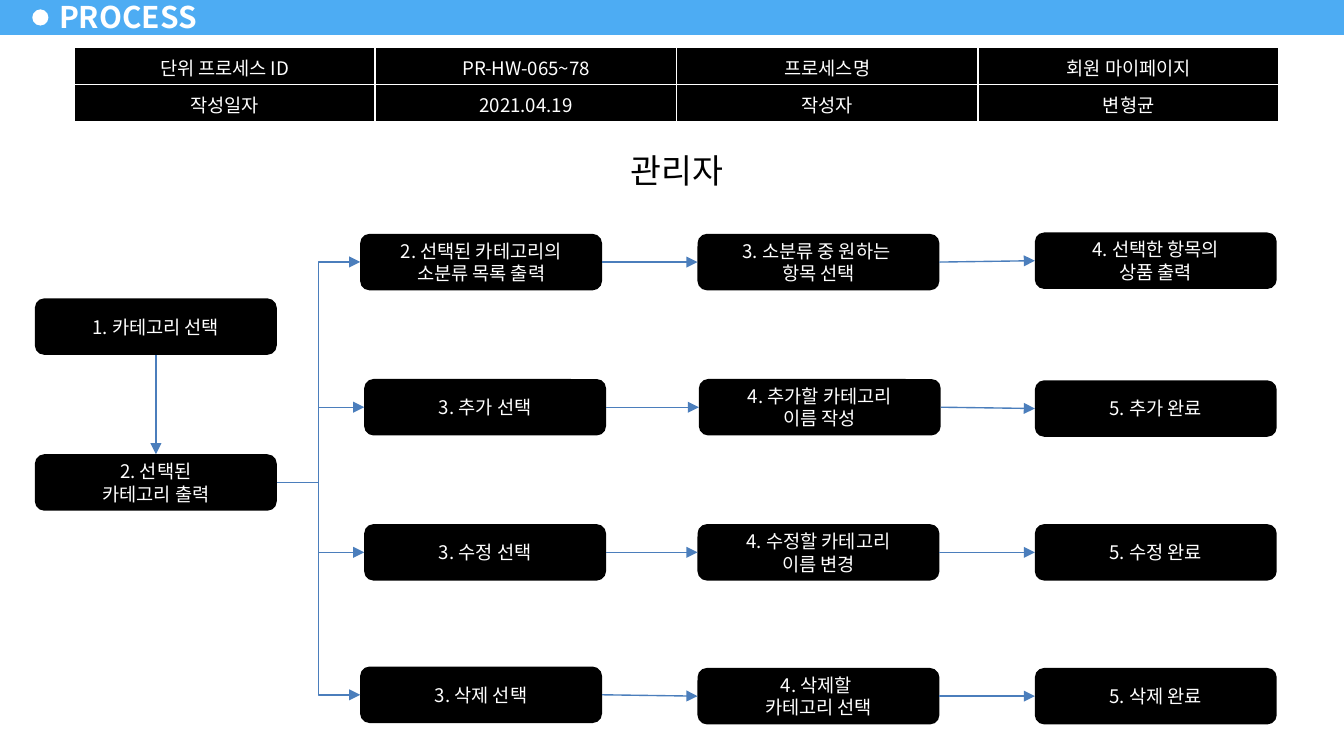
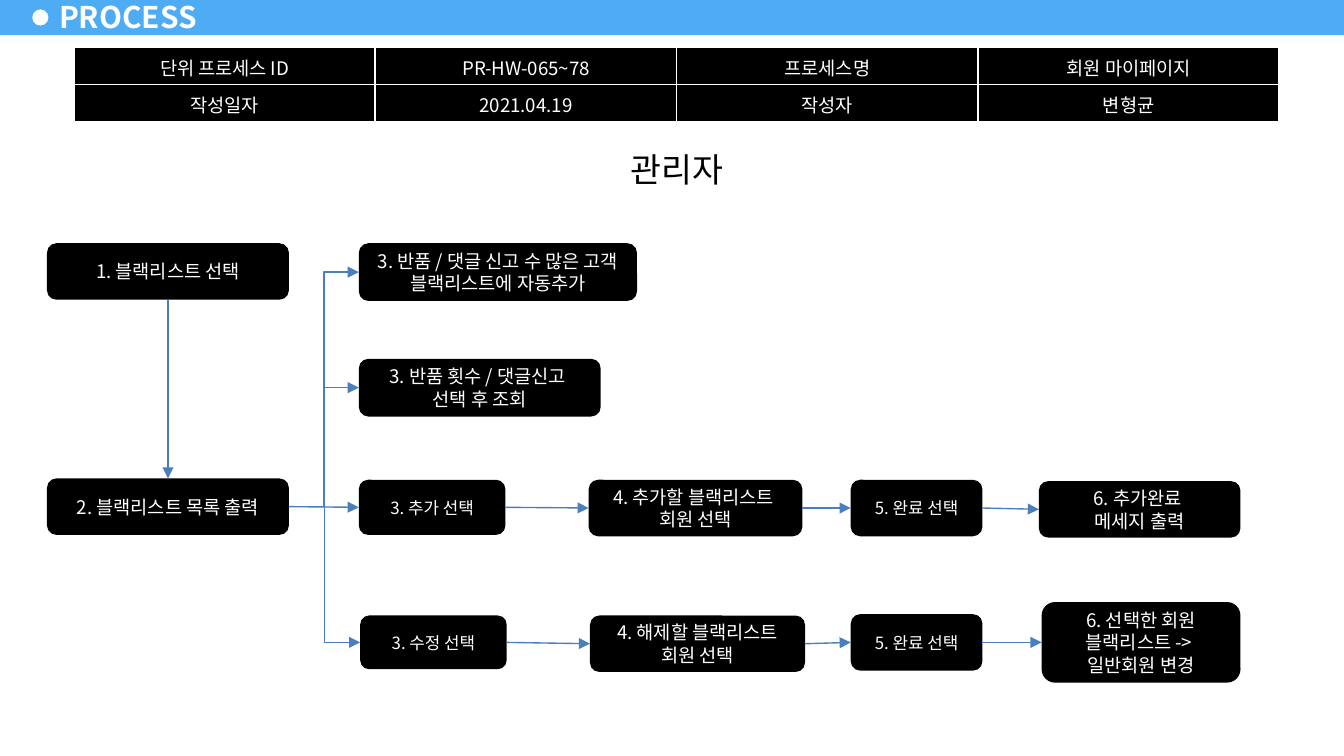
from dataclasses import dataclass
from enum import Enum

from lxml import etree
from pptx import Presentation
from pptx.dml.color import RGBColor
from pptx.enum.shapes import MSO_CONNECTOR as CONN, MSO_SHAPE as SHAPE
from pptx.enum.text import MSO_ANCHOR as ANCHOR, MSO_AUTO_SIZE as AUTO, PP_ALIGN as ALIGN
from pptx.oxml.ns import qn
from pptx.util import Inches, Pt

COLORS = {"band": "4DACF3", "white": "FFFFFF", "black": "000000", "arrow": "4B7EBC"}
FONT = "Noto Sans CJK KR"
TOP, LEFT, BOTTOM, RIGHT = range(4)
TABLE_ROWS = [
    ["단위 프로세스 ID", "PR-HW-065~78", "프로세스명", "회원 마이페이지"],
    ["작성일자", "2021.04.19", "작성자", "변형균"],
]


class Entry(Enum):
    ELBOW = 1
    STRAIGHT = 2
    STUB = 3


@dataclass
class Box:
    text: str
    x: float
    y: float
    w: float = 1.8
    h: float = 0.42
    size: int = 10


@dataclass
class Branch:
    entry: Entry
    boxes: list[Box]


@dataclass
class Flow:
    role_y: float
    trunk: tuple[Box, Box]
    branches: list[Branch]


FLOWS = [
    Flow(
        1.07,
        (Box("1. 카테고리 선택", 0.26, 2.22), Box("2. 선택된\n카테고리 출력", 0.26, 3.38)),
        [
            Branch(Entry.ELBOW, [
                Box("2. 선택된 카테고리의\v소분류 목록 출력", 2.68, 1.74),
                Box("3. 소분류 중 원하는 \v항목 선택", 5.19, 1.74),
                Box("4. 선택한 항목의\n상품 출력", 7.7, 1.73),
            ]),
            Branch(Entry.STUB, [
                Box("3. 추가 선택", 2.71, 2.82),
                Box("4. 추가할 카테고리\n이름 작성", 5.2, 2.82),
                Box("5. 추가 완료", 7.7, 2.83),
            ]),
            Branch(Entry.STUB, [
                Box("3. 수정 선택", 2.71, 3.9),
                Box("4. 수정할 카테고리\n이름 변경", 5.19, 3.9),
                Box("5. 수정 완료", 7.7, 3.9),
            ]),
            Branch(Entry.ELBOW, [
                Box("3. 삭제 선택", 2.68, 4.96),
                Box("4. 삭제할 \n카테고리 선택", 5.19, 4.97),
                Box("5. 삭제 완료", 7.7, 4.97),
            ]),
        ],
    ),
    Flow(
        1.06,
        (Box("1. 블랙리스트 선택", 0.35, 1.81), Box("2. 블랙리스트 목록 출력", 0.35, 3.56)),
        [
            Branch(Entry.ELBOW, [
                Box("3. 반품 / 댓글 신고 수 많은 고객 블랙리스트에 자동추가", 2.67, 1.81, 2.07, 0.43),
            ]),
            Branch(Entry.ELBOW, [
                Box("3. 반품 횟수 / 댓글신고 \n선택 후 조회", 2.67, 2.67, 1.8, 0.43),
            ]),
            Branch(Entry.STRAIGHT, [
                Box("3. 추가 선택", 2.67, 3.57, 1.09, 0.41, 9),
                Box("4. 추가할 블랙리스트 \n회원 선택", 4.38, 3.57, 1.59),
                Box("5. 완료 선택", 6.33, 3.57, 0.98, size=9),
                Box("6. 추가완료 \n메세지 출력", 7.73, 3.58, 1.5),
            ]),
            Branch(Entry.ELBOW, [
                Box("3. 수정 선택", 2.68, 4.58, 1.09, 0.4, 9),
                Box("4. 해제할 블랙리스트\n회원 선택", 4.39, 4.58, 1.6),
                Box("5. 완료 선택", 6.33, 4.57, 0.98, size=9),
                Box("6. 선택한 회원\v블랙리스트 -> \n일반회원 변경", 7.75, 4.48, 1.48, 0.6),
            ]),
        ],
    ),
]


def rgb(name: str) -> RGBColor:
    return RGBColor.from_string(COLORS[name])


def write(tf, text: str, size: int, color: str, align=ALIGN.CENTER, bold=False) -> None:
    tf.text = text
    for p in tf.paragraphs:
        p.alignment = align
        p.font.size = Pt(size)
        p.font.bold = bold
        p.font.color.rgb = rgb(color)
        p.font.name = FONT
        etree.SubElement(p.font._rPr, qn("a:ea"), typeface=FONT)


def add_filled(slide, kind, x: float, y: float, w: float, h: float, color: str):
    sp = slide.shapes.add_shape(kind, Inches(x), Inches(y), Inches(w), Inches(h))
    sp.shadow.inherit = False
    sp.fill.solid()
    sp.fill.fore_color.rgb = rgb(color)
    sp.line.fill.background()
    return sp


def move_band_to_layout(slide) -> None:
    tree = slide.slide_layout.shapes.element
    band = add_filled(slide, SHAPE.RECTANGLE, 0, -0.02, 10, 0.28, "band")
    dot = add_filled(slide, SHAPE.OVAL, 0.24, 0.07, 0.12, 0.12, "white")
    for i, sp in enumerate((band, dot)):
        sp.element.nvSpPr.cNvPr.set("id", str(101 + i))
        tree.insert(2 + i, sp.element)


def set_title(slide, text: str) -> None:
    sp = slide.shapes.title
    sp.left, sp.top, sp.width, sp.height = map(Inches, (0.35, -0.04, 1.22, 0.32))
    tf = sp.text_frame
    tf.auto_size = AUTO.NONE
    tf.vertical_anchor = ANCHOR.MIDDLE
    tf.margin_left = tf.margin_right = Inches(0.09)
    tf.margin_top = tf.margin_bottom = Inches(0.04)
    write(tf, text, 16, "white", ALIGN.LEFT, True)


def add_role(slide, y: float) -> None:
    sp = add_filled(slide, SHAPE.RECTANGLE, 3.25, y, 3.57, 0.4, "white")
    tf = sp.text_frame
    tf.word_wrap = True
    tf.auto_size = AUTO.SHAPE_TO_FIT_TEXT
    tf.vertical_anchor = ANCHOR.TOP
    write(tf, "관리자", 18, "black")


def add_box(slide, box: Box):
    sp = add_filled(slide, SHAPE.ROUNDED_RECTANGLE, box.x, box.y, box.w, box.h, "black")
    tf = sp.text_frame
    tf.word_wrap = True
    tf.vertical_anchor = ANCHOR.MIDDLE
    write(tf, box.text, box.size, "white")
    return sp


def add_arrow(slide, start, end, kind=CONN.STRAIGHT, sides=(RIGHT, LEFT), begin_x=None) -> None:
    y = end.top + end.height // 2
    c = slide.shapes.add_connector(kind, begin_x or 0, y, end.left, y)
    if begin_x is None:
        c.begin_connect(start, sides[0])
    c.end_connect(end, sides[1])
    c.line.color.rgb = rgb("arrow")
    c.line.width = Pt(0.75)
    etree.SubElement(c.line._get_or_add_ln(), qn("a:tailEnd"), type="triangle")
    etree.SubElement(c.element.spPr, qn("a:effectLst"))


def add_flow(slide, flow: Flow) -> None:
    first, hub = [add_box(slide, b) for b in flow.trunk]
    rows = [[add_box(slide, b) for b in branch.boxes] for branch in flow.branches]
    add_arrow(slide, first, hub, sides=(BOTTOM, TOP))
    for branch, row in zip(flow.branches, rows):
        kind = CONN.ELBOW if branch.entry is Entry.ELBOW else CONN.STRAIGHT
        begin_x = Inches(2.37) if branch.entry is Entry.STUB else None
        add_arrow(slide, hub, row[0], kind, begin_x=begin_x)
        for start, end in zip(row, row[1:]):
            add_arrow(slide, start, end)


def add_borders(cell) -> None:
    tc_pr = cell._tc.get_or_add_tcPr()
    for i, side in enumerate(("lnL", "lnR", "lnT", "lnB")):
        ln = etree.Element(qn(f"a:{side}"), w=str(Pt(1)))
        fill = etree.SubElement(ln, qn("a:solidFill"))
        etree.SubElement(fill, qn("a:srgbClr"), val=COLORS["white"])
        tc_pr.insert(i, ln)


def add_info_table(slide) -> None:
    frame = slide.shapes.add_table(2, 4, Inches(0.55), Inches(0.35), Inches(8.97), Inches(0.56))
    table = frame.table
    table.first_row = table.horz_banding = False
    for r, texts in enumerate(TABLE_ROWS):
        for c, text in enumerate(texts):
            cell = table.cell(r, c)
            cell.fill.solid()
            cell.fill.fore_color.rgb = rgb("black")
            cell.vertical_anchor = ANCHOR.MIDDLE
            write(cell.text_frame, text, 10, "white")
            add_borders(cell)


def main() -> None:
    prs = Presentation()
    prs.slide_width = Inches(10)
    prs.slide_height = prs.slide_width * 9 // 16
    layout = prs.slide_layouts[5]
    for i, flow in enumerate(FLOWS):
        slide = prs.slides.add_slide(layout)
        if i == 0:
            move_band_to_layout(slide)
        set_title(slide, "PROCESS")
        add_role(slide, flow.role_y)
        add_flow(slide, flow)
        add_info_table(slide)
    prs.save("out.pptx")


if __name__ == "__main__":
    main()
